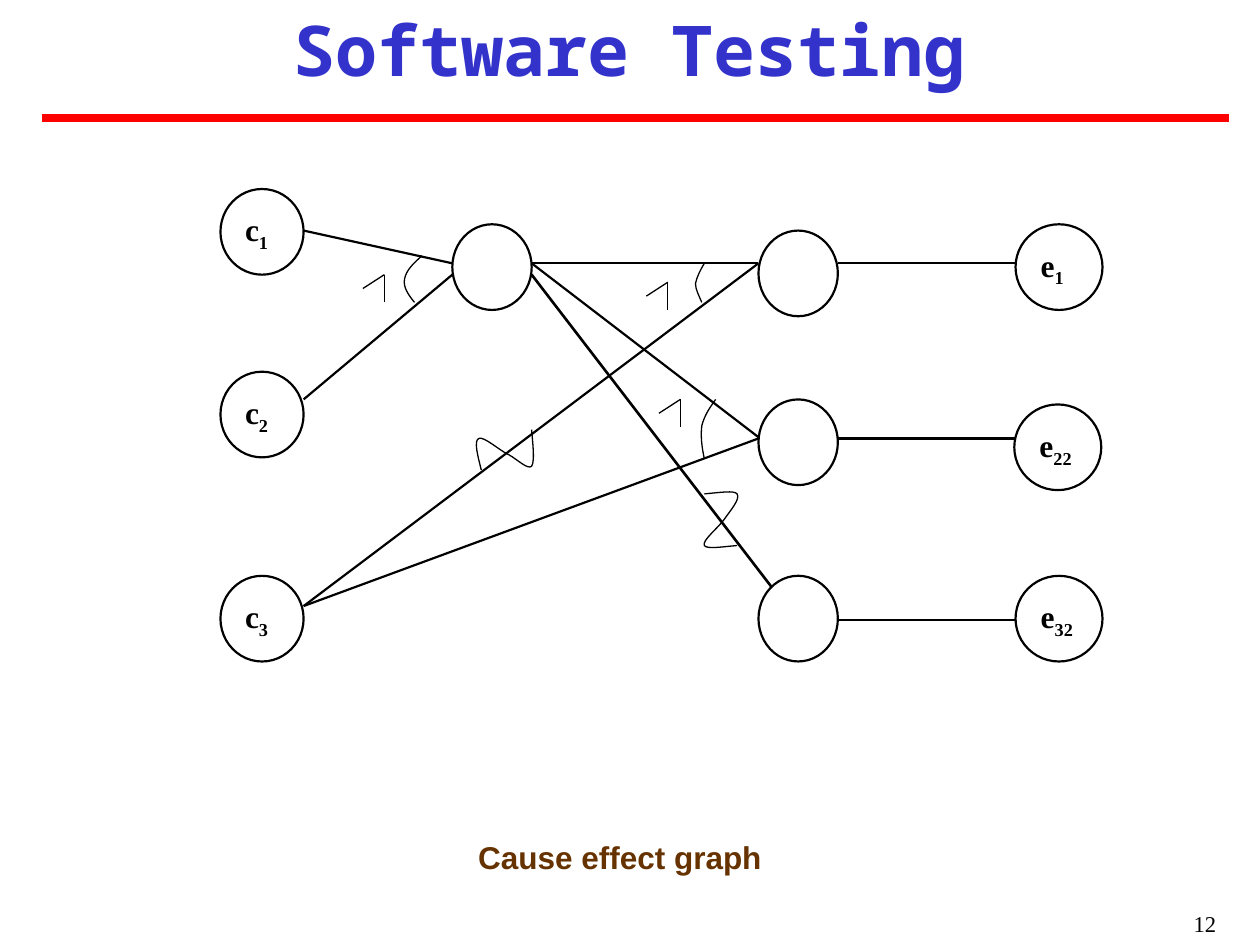
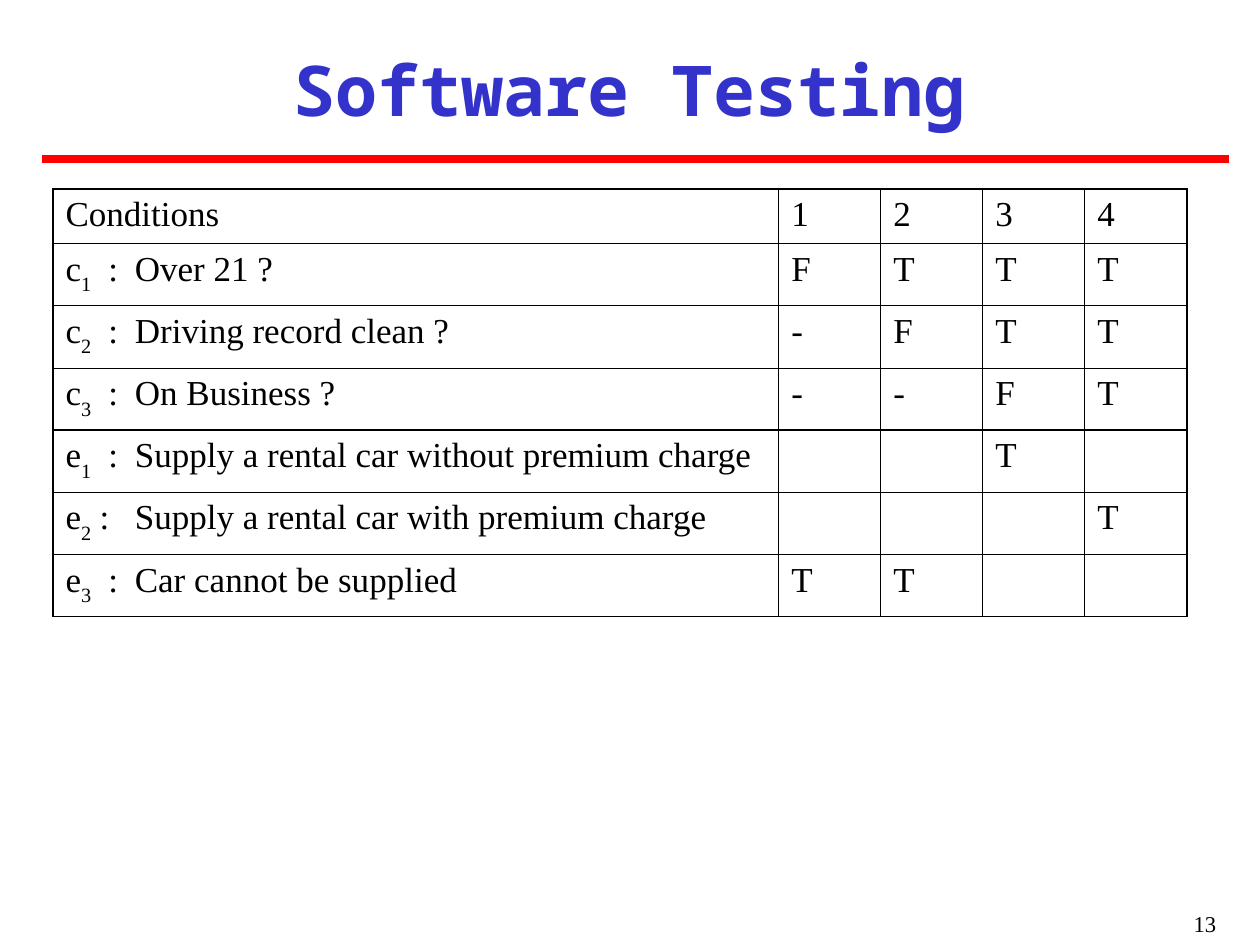
from lxml import etree
from pptx import Presentation
from pptx import util as u
from pptx.dml.color import RGBColor
from pptx.enum import shapes, text
from pptx.oxml.ns import qn

BLACK, WHITE = "000000", "FFFFFF"
TITLE_BLUE, RULE_RED, CAPTION_BROWN = "3333CC", "FF0000", "663300"
SERIF = "Times New Roman"


def style(font, name, size, color, bold=False):
    font.name, font.size, font.bold = name, u.Pt(size), bold
    font.color.rgb = RGBColor.from_string(color)


def add_line(slide, start, end, width, color=BLACK):
    line = slide.shapes.add_connector(
        shapes.MSO_CONNECTOR.STRAIGHT, *map(u.Inches, (*start, *end)))
    line.line.width = u.Pt(width)
    line.line.color.rgb = RGBColor.from_string(color)
    etree.SubElement(line._element.spPr, qn("a:effectLst"))


prs = Presentation()
prs.slide_width, prs.slide_height = u.Inches(10), u.Inches(7.5)
graph, decisions = (prs.slides.add_slide(prs.slide_layouts[6]) for _ in range(2))

# Title, red rule and slide number; the heading sits lower on the second slide
caption = ("Cause effect graph", (0.28, 6.65, 9.28, 0.3), 0, "Arial", 18, CAPTION_BROWN, True, "CENTER")
for slide, number, top, extras in ((graph, 12, 0, [caption]), (decisions, 13, 0.32, [])):
    labels = [
        (str(number), (7.67, 7.17, 2.08, 0.33), 0.1, SERIF, 12.9, BLACK, False, "RIGHT"),
        ("Software Testing", (0.33, top, 9.33, 0.77), 0.1, "Noto Sans Mono", 40, TITLE_BLUE, True, "CENTER"),
    ]
    for words, place, inset, font, size, color, bold, align in labels + extras:
        frame = slide.shapes.add_textbox(*map(u.Inches, place)).text_frame
        frame.word_wrap = True
        frame.margin_left = frame.margin_right = u.Inches(inset)
        frame.margin_top = frame.margin_bottom = u.Inches(inset / 2)
        frame.text = words
        frame.paragraphs[0].alignment = text.PP_ALIGN[align]
        style(frame.paragraphs[0].font, font, size, color, bold)
    add_line(slide, (0.33, top + 0.94), (9.75, top + 0.94), 4.5, RULE_RED)

# Cause effect graph: edges lie behind the nodes
cause_3, middle_out = (2.41, 4.81), (4.22, 2.09)
edges = [
    ((2.41, 1.83), (3.59, 2.09)),
    ((2.41, 3.17), (3.59, 2.18)),
    (cause_3, (6.02, 2.09)),
    (cause_3, (6.02, 3.48)),
    (middle_out, (6.02, 2.09)),
    (middle_out, (6.02, 3.47)),
]
edges += [((6.65, y), (8.06, y)) for y in (2.09, 3.48, 4.92)]
for start, end in edges:
    add_line(graph, start, end, 1.25)
add_line(graph, (4.22, 2.18), (6.14, 4.68), 1.5)

nodes = [
    (1.75, 1.5, 0.66, "c", "1"),
    (1.75, 2.95, 0.66, "c", "2"),
    (1.75, 4.57, 0.66, "c", "3"),
    (3.59, 1.78, 0.63, "", ""),
    (6.02, 1.83, 0.63, "", ""),
    (6.02, 3.17, 0.63, "", ""),
    (6.02, 4.57, 0.63, "", ""),
    (8.06, 1.78, 0.69, "e", "1"),
    (8.05, 3.21, 0.69, "e", "22"),
    (8.06, 4.57, 0.69, "e", "32"),
]
for left, top, width, letter, index in nodes:
    node = graph.shapes.add_shape(
        shapes.MSO_SHAPE.OVAL, *map(u.Inches, (left, top, width, 0.68)))
    node.shadow.inherit = False
    node.fill.solid()
    node.fill.fore_color.rgb = RGBColor.from_string(WHITE)
    node.line.color.rgb = RGBColor.from_string(BLACK)
    node.line.width = u.Pt(1.25)
    if letter:
        node.text_frame.vertical_anchor = text.MSO_ANCHOR.MIDDLE
        label = node.text_frame.paragraphs[0]
        label.alignment = text.PP_ALIGN.LEFT
        style(label.font, SERIF, 18, BLACK, True)
        label.add_run().text = letter
        subscript = label.add_run()
        subscript.text = index
        subscript.font._element.set("baseline", "-25000")

# "And" signs: a slanted stroke and a stem that meet at the tip
for x, y in ((3.05, 2.18), (5.3, 2.24), (5.4, 3.17)):
    add_line(graph, (x - 0.17, y + 0.11), (x, y), 0.75)
    add_line(graph, (x, y), (x, y + 0.22), 0.75)

# Arcs join "and" edges, waves mark "not" edges: a start, then three points per curve
arcs = [
    [(3.35, 2.03), (3.28, 2.09), (3.22, 2.15), (3.21, 2.22), (3.2, 2.28), (3.24, 2.34), (3.29, 2.4)],
    [(5.59, 2.09), (5.56, 2.14), (5.53, 2.2), (5.52, 2.25), (5.52, 2.3), (5.55, 2.35), (5.57, 2.4)],
    [(5.68, 3.17), (5.63, 3.24), (5.59, 3.3), (5.57, 3.38), (5.56, 3.46), (5.57, 3.55), (5.59, 3.64)],
]
waves = [
    [(3.82, 3.73), (3.79, 3.61), (3.76, 3.5), (3.8, 3.48), (3.84, 3.46), (3.97, 3.58), (4.04, 3.61),
     (4.11, 3.65), (4.19, 3.73), (4.22, 3.7), (4.25, 3.66), (4.22, 3.45), (4.22, 3.41)],
    [(5.59, 3.92), (5.71, 3.91), (5.83, 3.89), (5.85, 3.92), (5.88, 3.96), (5.79, 4.06), (5.75, 4.12),
     (5.7, 4.19), (5.57, 4.29), (5.59, 4.33), (5.61, 4.36), (5.73, 4.34), (5.85, 4.33)],
]
for points in arcs + waves:
    start, *rest = [(u.Inches(x), u.Inches(y)) for x, y in points]
    builder = graph.shapes.build_freeform(*start)
    builder.add_line_segments(rest, close=False)
    mark = builder.convert_to_shape()
    mark.shadow.inherit = False
    mark.fill.background()
    mark.line.color.rgb = RGBColor.from_string(BLACK)
    mark.line.width = u.Pt(0.75)
    outline = mark._element.find(".//" + qn("a:path"))
    steps = outline.findall(qn("a:lnTo"))
    for i in range(0, len(steps), 3):
        curve = etree.SubElement(outline, qn("a:cubicBezTo"))
        for step in steps[i:i + 3]:
            curve.append(step[0])
            outline.remove(step)

# Decision table: name, index and wording of each condition or effect, then its values
rows = [
    ("Conditions", "", "", "1", "2", "3", "4"),
    ("c", "1", "Over 21 ?", "F", "T", "T", "T"),
    ("c", "2", "Driving record clean ?", "-", "F", "T", "T"),
    ("c", "3", "On Business ?", "-", "-", "F", "T"),
    ("e", "1", "Supply a rental car without premium charge", "", "", "T", ""),
    ("e", "2", "Supply a rental car with premium charge", "", "", "", "T"),
    ("e", "3", "Car cannot be supplied", "T", "T", "", ""),
]
table = decisions.shapes.add_table(
    7, 5, *map(u.Inches, (0.42, 1.5, 9, 3.37))).table
for c, column in enumerate(table.columns):
    column.width = u.Inches(0.81 if c else 5.76)
for r, (name, index, wording, *values) in enumerate(rows):
    table.rows[r].height = u.Inches(0.49 if r else 0.43)
    for c, value in enumerate([name, *values]):
        cell = table.cell(r, c)
        entry = cell.text_frame.paragraphs[0]
        style(entry.font, SERIF, 20, BLACK)
        if value:
            entry.add_run().text = value
        if c == 0 and index:
            subscript = entry.add_run()
            subscript.text = index
            subscript.font._element.set("baseline", "-30000")
            entry.add_run().text = f"\t:\t{wording}"
            stops = etree.SubElement(entry._p.get_or_add_pPr(), qn("a:tabLst"))
            entry._p.pPr.insert(0, stops)
            for stop in (0.27 if (name, index) == ("e", "2") else 0.34, 0.55):
                etree.SubElement(stops, qn("a:tab"), pos=str(u.Inches(stop)), algn="l")
        # Heavy lines frame the table, the first column and the conditions
        heavy = {"L": c < 2, "R": c in (0, 4), "T": r in (0, 4), "B": r in (3, 6)}
        borders = cell._tc.get_or_add_tcPr()
        for side, is_heavy in heavy.items():
            border = etree.SubElement(
                borders, qn(f"a:ln{side}"), w=str(u.Pt(0.96 if is_heavy else 0.45)))
            etree.SubElement(etree.SubElement(border, qn("a:solidFill")), qn("a:srgbClr"), val=BLACK)
        cell.fill.solid()
        cell.fill.fore_color.rgb = RGBColor.from_string(WHITE)

prs.save("out.pptx")
